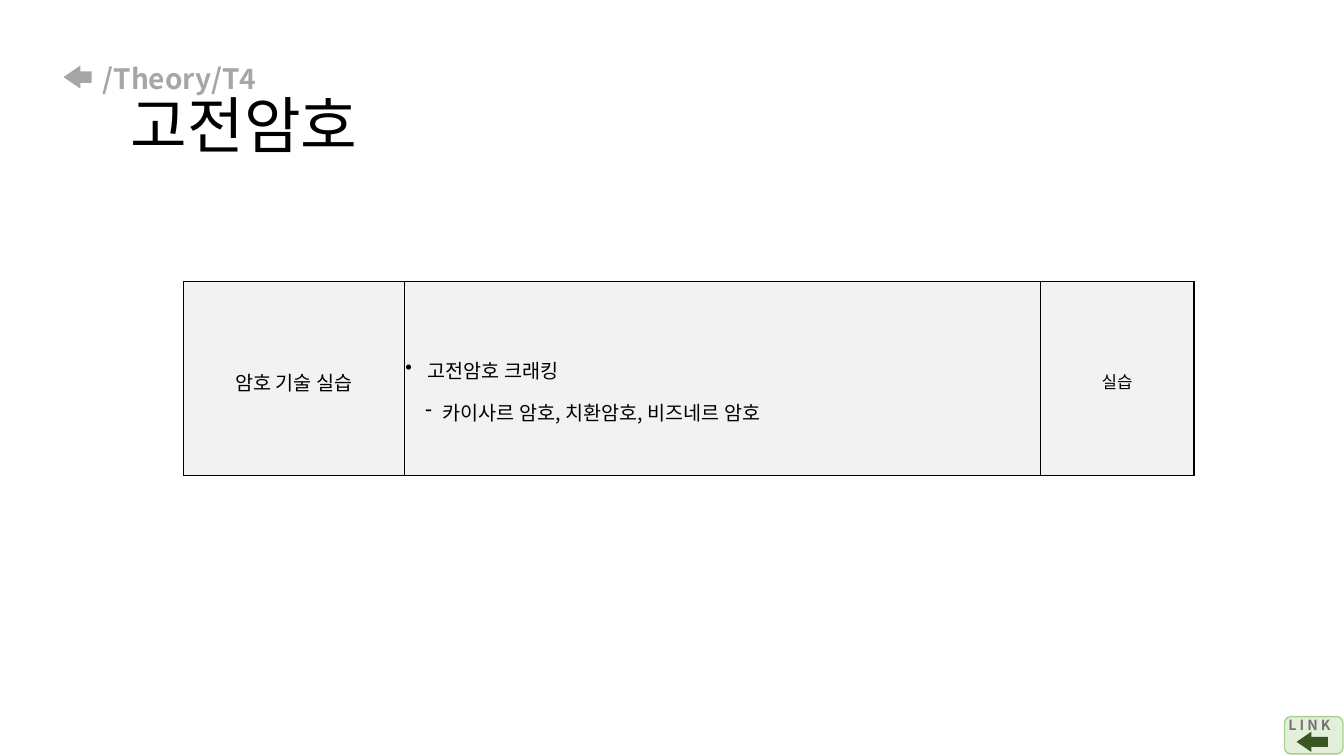
import lxml.etree
import pptx
import pptx.dml.color
import pptx.enum.shapes
import pptx.enum.text
import pptx.oxml.ns
import pptx.util

RGB = pptx.dml.color.RGBColor
PP = pptx.enum.text.PP_ALIGN
MIDDLE = pptx.enum.text.MSO_ANCHOR.MIDDLE
SHAPE = pptx.enum.shapes.MSO_SHAPE
Inches, Pt, qn = pptx.util.Inches, pptx.util.Pt, pptx.oxml.ns.qn

FONT = "Noto Sans CJK KR"
BLACK = RGB(0x00, 0x00, 0x00)
GRAY = RGB(0xA6, 0xA6, 0xA6)
LABEL_GRAY = RGB(0x76, 0x71, 0x71)
CELL_GRAY = RGB(0xF2, 0xF2, 0xF2)
PALE_GREEN = RGB(0xE2, 0xF0, 0xD9)
EDGE_GREEN = RGB(0xA9, 0xD1, 0x8E)
DARK_GREEN = RGB(0x38, 0x57, 0x23)


def line(text, size, color=BLACK, **options):
    return dict(text=text, size=size, color=color, **options)


TITLE = [
    line("/Theory/T4", 20, GRAY, bold=True, spacing=0.9),
    line("고전암호", 44, spacing=0.9, margin=0.28),
]
CELLS = [
    [line("암호 기술 실습", 14, align=PP.CENTER, spacing=1.3)],
    [
        line("고전암호 크래킹", 14, align=PP.JUSTIFY, spacing=1.9,
             bullet="•", margin=0.22, indent=-0.22),
        line("카이사르 암호, 치환암호, 비즈네르 암호", 14, align=PP.JUSTIFY,
             spacing=1.5, bullet="-", margin=0.37, indent=-0.17),
    ],
    [line("실습", 12, align=PP.CENTER, spacing=1.3)],
]
LINK = [line("L I N K", 10, LABEL_GRAY, bold=True)]

TITLE_BOX = (0.92, 0.4, 11.5, 1.45)
BACK_ARROW = (0.63, 0.65, 0.28, 0.23)
TABLE_LEFT, TABLE_TOP, ROW_HEIGHT = 1.82, 2.79, 1.92
COLUMNS = (2.19, 6.31, 1.52)
THIN, THICK = 0.28, 1.7
BADGE = (12.74, 7.11, 0.58, 0.37)
BADGE_LABEL = (12.68, 7.06, 0.74, 0.44)
BADGE_ARROW = (12.86, 7.26, 0.31, 0.2)


def box(lengths):
    return [Inches(v) for v in lengths]


def write(tf, lines):
    tf.text = "\n".join(item["text"] for item in lines)
    for p, item in zip(tf.paragraphs, lines):
        p.alignment = item.get("align", PP.LEFT)
        p.line_spacing = item.get("spacing", 1.0)
        pPr = p._p.get_or_add_pPr()
        pPr.set("marL", str(Inches(item.get("margin", 0))))
        pPr.set("indent", str(Inches(item.get("indent", 0))))
        if "bullet" in item:
            lxml.etree.SubElement(pPr, qn("a:buChar"), char=item["bullet"])
        for r in p.runs:
            r.font.size = Pt(item["size"])
            r.font.bold = item.get("bold", False)
            r.font.color.rgb = item["color"]
            r.font.name = FONT
            lxml.etree.SubElement(r._r.get_or_add_rPr(), qn("a:ea"), typeface=FONT)


def add_text(shapes, place, lines, anchor=pptx.enum.text.MSO_ANCHOR.TOP):
    tf = shapes.add_textbox(*box(place)).text_frame
    tf.word_wrap = True
    tf.vertical_anchor = anchor
    write(tf, lines)


def add_plain(shapes, kind, place, color):
    sp = shapes.add_shape(kind, *box(place))
    sp.shadow.inherit = False
    sp.fill.solid()
    sp.fill.fore_color.rgb = color
    sp.line.fill.background()
    return sp


def add_arrow(shapes, place, color):
    sp = add_plain(shapes, SHAPE.LEFT_ARROW, place, color)
    sp.adjustments[0], sp.adjustments[1] = 0.5, 0.73


def add_border(cell, side, width):
    ln = lxml.etree.SubElement(cell._tc.get_or_add_tcPr(), qn("a:ln" + side),
                               w=str(Pt(width)))
    fill = lxml.etree.SubElement(ln, qn("a:solidFill"))
    lxml.etree.SubElement(fill, qn("a:srgbClr"), val=str(BLACK))


def add_course_table(shapes):
    place = (TABLE_LEFT, TABLE_TOP, sum(COLUMNS), ROW_HEIGHT)
    table = shapes.add_table(1, len(COLUMNS), *box(place)).table
    table.rows[0].height = Inches(ROW_HEIGHT)
    for i, (width, lines) in enumerate(zip(COLUMNS, CELLS)):
        table.columns[i].width = Inches(width)
        cell = table.cell(0, i)
        cell.margin_left = cell.margin_right = Inches(0.01)
        cell.margin_top = cell.margin_bottom = Inches(0.01)
        cell.vertical_anchor = MIDDLE
        for side in "LRTB":
            outer = side == "R" and i == len(COLUMNS) - 1
            add_border(cell, side, THICK if outer else THIN)
        cell.fill.solid()
        cell.fill.fore_color.rgb = CELL_GRAY
        write(cell.text_frame, lines)


def add_link_badge(shapes):
    group = shapes.add_group_shape().shapes
    badge = add_plain(group, SHAPE.ROUNDED_RECTANGLE, BADGE, PALE_GREEN)
    badge.line.color.rgb = EDGE_GREEN
    badge.line.width = Pt(1)
    add_text(group, BADGE_LABEL, LINK)
    add_arrow(group, BADGE_ARROW, DARK_GREEN)


def main():
    """Build the classical cipher practice slide."""
    prs = pptx.Presentation()
    prs.slide_width, prs.slide_height = Inches(13.33), Inches(7.5)
    s = prs.slides.add_slide(prs.slide_layouts[6])
    add_arrow(s.shapes, BACK_ARROW, GRAY)
    add_course_table(s.shapes)
    add_link_badge(s.shapes)
    add_text(s.shapes, TITLE_BOX, TITLE, MIDDLE)
    prs.save("out.pptx")


if __name__ == "__main__":
    main()
